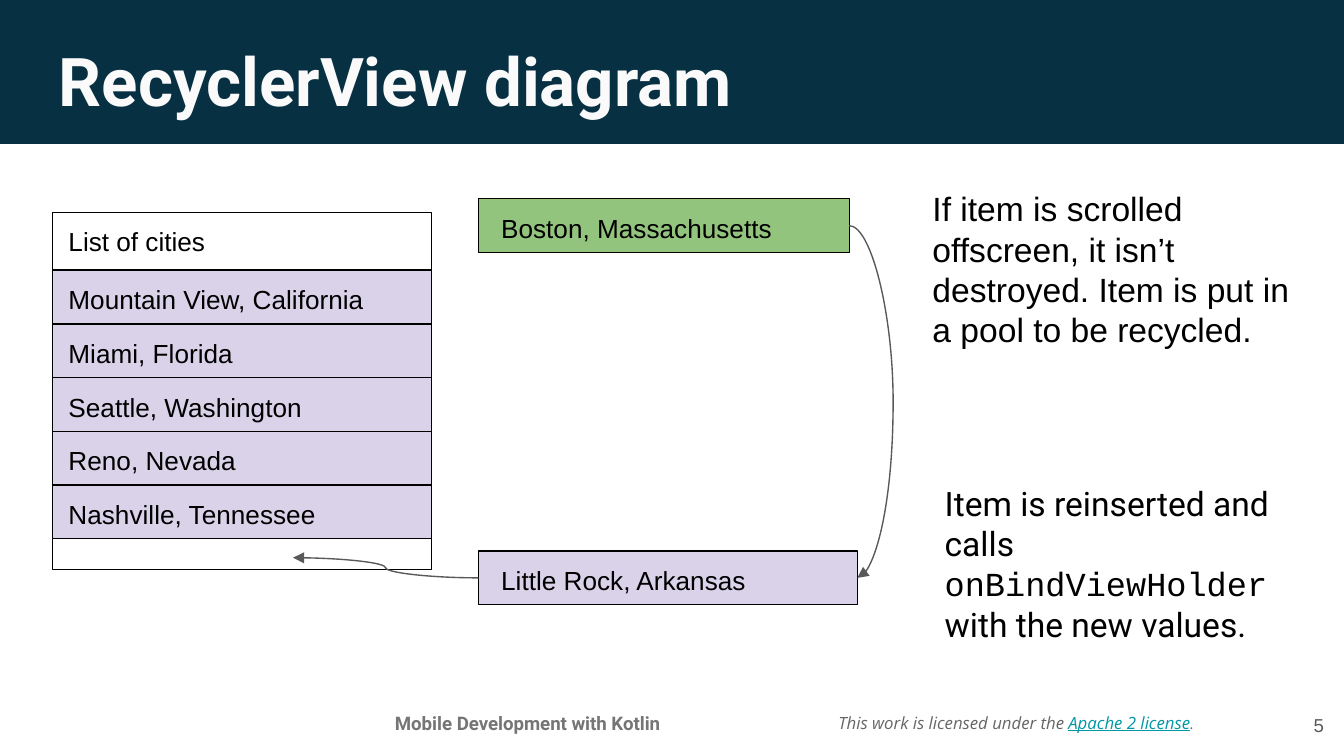
from pptx import Presentation
from pptx.dml.color import RGBColor
from pptx.enum import shapes, text
from pptx.oxml import ns, parse_xml
from pptx.util import Pt

COLORS = {
    "navy": "073042",
    "title": "FAFAFA",
    "footer": "757575",
    "gray": "666666",
    "dark_gray": "595959",
    "link": "0097A7",
    "lilac": "D9D2E9",
    "green": "93C47D",
    "black": "000000",
}
CITIES = [
    "Mountain View, California",
    "Miami, Florida",
    "Seattle, Washington",
    "Reno, Nevada",
    "Nashville, Tennessee",
]
LIST_LEFT, LIST_TOP, LIST_WIDTH, LIST_HEIGHT = 28.1, 113.8, 203, 191.5
ROW_TOP, ROW_HEIGHT = 144.7, 28.8
ITEM_LEFT = 256.3


def color(name):
    return RGBColor.from_string(COLORS[name])


def add_run(paragraph, words, size, font="Arial", fill="black",
            bold=None, italic=None, underline=None):
    run = paragraph.add_run()
    run.text = words
    run.font.size = Pt(size)
    run.font.name = font
    run.font.color.rgb = color(fill)
    run.font.bold = bold
    run.font.italic = italic
    run.font.underline = underline


def set_frame(shape, anchor=text.MSO_ANCHOR.TOP, left_inset=7.2,
              align=text.PP_ALIGN.LEFT):
    """Set margins, wrapping and alignment; return the first paragraph."""
    frame = shape.text_frame
    frame.word_wrap = True
    frame.vertical_anchor = anchor
    frame.margin_left = Pt(left_inset)
    frame.margin_top = frame.margin_right = frame.margin_bottom = Pt(7.2)
    paragraph = frame.paragraphs[0]
    paragraph.alignment = align
    return paragraph


def add_text(slide, left, top, width, height, **layout):
    box = slide.shapes.add_textbox(Pt(left), Pt(top), Pt(width), Pt(height))
    return set_frame(box, **layout)


def add_box(slide, left, top, width, height, fill=None, line="black"):
    box = slide.shapes.add_shape(shapes.MSO_SHAPE.RECTANGLE,
                                 Pt(left), Pt(top), Pt(width), Pt(height))
    box.shadow.inherit = False
    if fill:
        box.fill.solid()
        box.fill.fore_color.rgb = color(fill)
    else:
        box.fill.background()
    if line:
        box.line.color.rgb = color(line)
        box.line.width = Pt(0.75)
    else:
        box.line.fill.background()
    return box


def add_labeled_box(slide, label, left, top, width, height, fill=None, inset=8.6):
    box = add_box(slide, left, top, width, height, fill)
    add_run(set_frame(box, left_inset=inset), label, 14)
    return box


def add_curved_arrow(slide, start, end, bend):
    """Draw a curve whose middle lies at bend, a share of its width."""
    points = [Pt(value) for value in (*start, *end)]
    arrow = slide.shapes.add_connector(shapes.MSO_CONNECTOR.CURVE, *points)
    arrow.line.color.rgb = color("dark_gray")
    arrow.line.width = Pt(0.75)
    properties = arrow.element.spPr
    namespace = ns.nsdecls("a")
    properties.find(ns.qn("a:ln")).append(
        parse_xml(f'<a:tailEnd {namespace} type="triangle"/>'))
    properties.append(parse_xml(f"<a:effectLst {namespace}/>"))
    geometry = properties.find(ns.qn("a:prstGeom"))
    geometry.find(ns.qn("a:avLst")).append(parse_xml(
        f'<a:gd {namespace} name="adj1" fmla="val {round(bend * 100000)}"/>'))
    return arrow


def add_footer(slide):
    course = add_text(slide, 180.7, 375.1, 203.8, 23, align=text.PP_ALIGN.CENTER)
    add_run(course, "Mobile Development with Kotlin", 10, "Roboto", "footer", bold=True)

    notice = add_text(slide, 442, 370, 211.7, 34, anchor=text.MSO_ANCHOR.MIDDLE)
    add_run(notice, "This work is licensed under the ", 9, "Open Sans", "gray", italic=True)
    add_run(notice, "Apache 2 license", 9, "Open Sans", "link", italic=True, underline=True)
    add_run(notice, ".", 9, "Roboto", "gray", italic=True)

    number = add_text(slide, 673.2, 373, 43.2, 31, anchor=text.MSO_ANCHOR.MIDDLE,
                      align=text.PP_ALIGN.RIGHT)
    add_run(number, "5", 10, fill="dark_gray")


def add_header(slide):
    add_box(slide, -0.7, -2.9, 721, 80, "navy", line=None)
    title = add_text(slide, 24.5, 13.7, 671, 45.4)
    add_run(title, "RecyclerView diagram", 36, "Roboto", "title", bold=True)


def add_city_list(slide):
    add_labeled_box(slide, "List of cities", LIST_LEFT, LIST_TOP, LIST_WIDTH, LIST_HEIGHT)
    for index, city in enumerate(CITIES):
        add_labeled_box(slide, city, LIST_LEFT, ROW_TOP + index * ROW_HEIGHT,
                        LIST_WIDTH, ROW_HEIGHT, "lilac")


def add_recycling(slide):
    scrolled = add_labeled_box(slide, "Boston, Massachusetts", ITEM_LEFT, 106.5,
                               198.7, ROW_HEIGHT, "green", inset=12.2)
    reused = add_labeled_box(slide, "Little Rock, Arkansas", ITEM_LEFT, 295.2,
                             LIST_WIDTH, ROW_HEIGHT, "lilac", inset=12.2)
    recycle = add_curved_arrow(slide, (455, 120.9), (459.3, 309.6), 5.46)
    recycle.begin_connect(scrolled, 3)
    recycle.end_connect(reused, 3)
    reinsert = add_curved_arrow(slide, (ITEM_LEFT, 309.6), (157, 298.8), 0.5)
    reinsert.begin_connect(reused, 1)


def add_notes_beside(slide):
    pool = add_text(slide, 492.5, 93.6, 213, 112.3)
    add_run(pool, "If item is scrolled offscreen, it isn’t destroyed. "
                  "Item is put in a pool to be recycled.", 18)
    binding = add_text(slide, 499, 251.3, 208.8, 65.5)
    add_run(binding, "Item is reinserted and calls ", 18, "Roboto")
    add_run(binding, "onBindViewHolder", 18, "Courier New")
    add_run(binding, " with the new values.", 18, "Roboto")


def main():
    presentation = Presentation()
    presentation.slide_width = Pt(720)
    presentation.slide_height = Pt(405)
    slide = presentation.slides.add_slide(presentation.slide_layouts[6])
    add_footer(slide)
    add_header(slide)
    add_city_list(slide)
    add_recycling(slide)
    add_notes_beside(slide)
    presentation.save("out.pptx")


if __name__ == "__main__":
    main()
